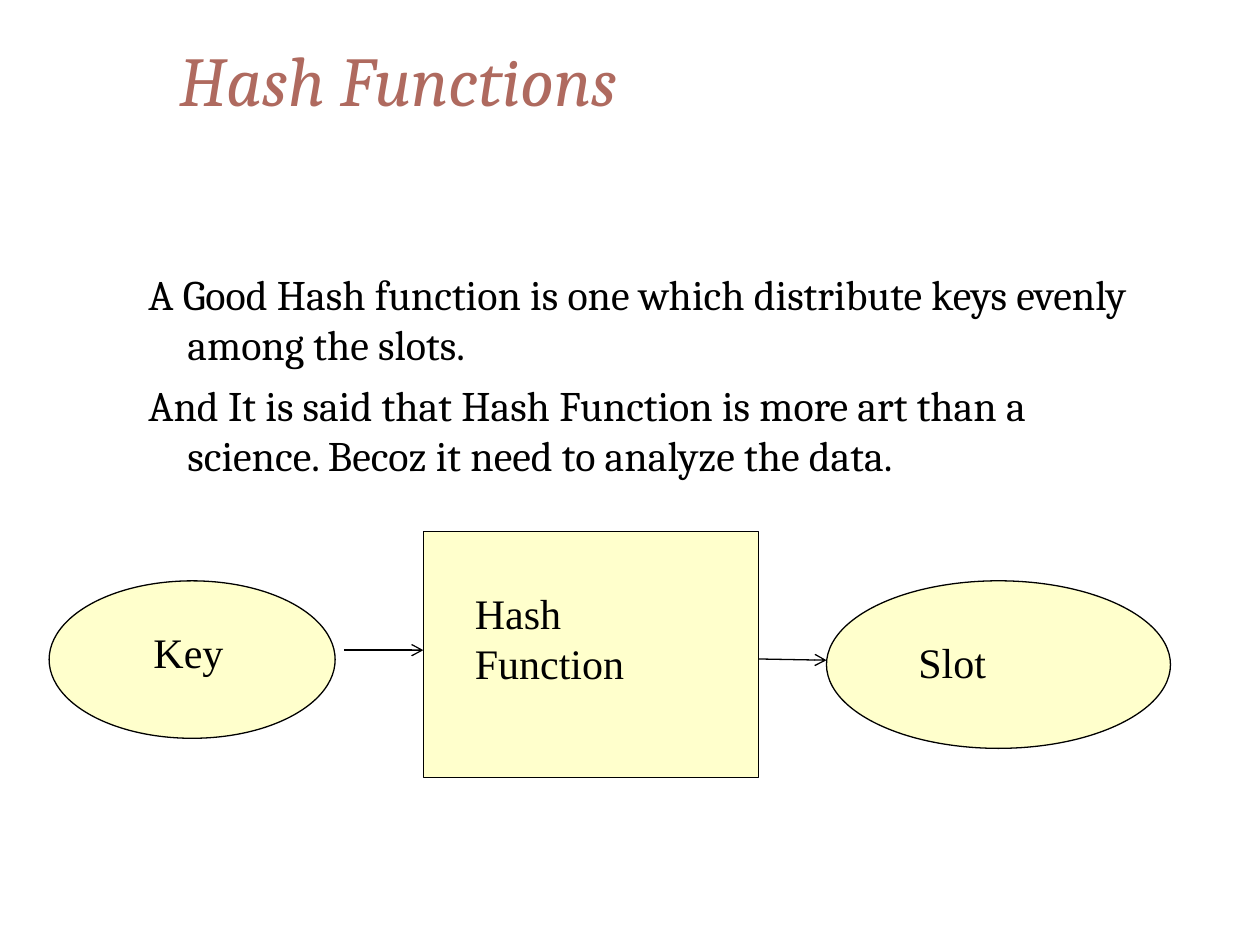
from dataclasses import dataclass

from lxml.etree import SubElement
from pptx import Presentation
from pptx.dml.color import RGBColor
from pptx.enum.shapes import MSO_CONNECTOR, MSO_SHAPE
from pptx.enum.text import MSO_ANCHOR
from pptx.oxml.ns import qn
from pptx.util import Inches, Pt


@dataclass(frozen=True)
class Theme:
    heading_font: str = "Cambria"
    label_font: str = "Times New Roman"
    title_color: RGBColor = RGBColor(0xAF, 0x6A, 0x5F)
    ink: RGBColor = RGBColor(0, 0, 0)
    node_fill: RGBColor = RGBColor(0xFF, 0xFF, 0xCC)
    title_size: Pt = Pt(40)
    text_size: Pt = Pt(24)
    line_width: Pt = Pt(0.75)


THEME = Theme()
TITLE_FORMAT = {"name": THEME.heading_font, "size": THEME.title_size, "italic": True}
BODY_FORMAT = {"name": THEME.heading_font, "size": THEME.text_size}
LABEL_FORMAT = {"name": THEME.label_font, "size": THEME.text_size}

TITLE = "Hash Functions"
BODY = [
    "A Good Hash function is one which distribute keys evenly among the slots.",
    "And It is said that Hash Function is more art than a science. "
    "Becoz it need to analyze the data.",
]
# Boxes are left, top, width, height in inches.
TITLE_BOX = (1.33, 0, 8.5, 1.25)
BODY_BOX = (0.58, 2.08, 8.67, 5.67)
NODES = [
    (MSO_SHAPE.RECTANGLE, (3.36, 4.22, 2.66, 1.95)),
    (MSO_SHAPE.OVAL, (6.56, 4.61, 2.73, 1.33)),
    (MSO_SHAPE.OVAL, (0.39, 4.61, 2.27, 1.25)),
]
ARROWS = [(2.73, 5.16, 3.36, 5.16), (6.02, 5.23, 6.56, 5.24)]
# Text, box, left margin
LABELS = [
    ("Key", (0.63, 4.92, 1.87, 0.5), 0.49),
    ("Hash Function", (3.67, 4.61, 2.11, 0.9), 0),
    ("Slot", (7.19, 5, 1.72, 0.5), 0),
]


def inches(values):
    return [Inches(value) for value in values]


def add_text(slide, paragraphs, box, font_format, color=THEME.ink,
             margin=0, indent=0, space_before=0, anchor=MSO_ANCHOR.TOP):
    frame = slide.shapes.add_textbox(*inches(box)).text_frame
    frame.word_wrap = True
    frame.vertical_anchor = anchor
    frame.text = "\n".join(paragraphs)
    for paragraph in frame.paragraphs:
        paragraph.space_before = Pt(space_before)
        properties = paragraph._p.get_or_add_pPr()
        properties.set("marL", str(Inches(margin)))
        properties.set("indent", str(Inches(indent)))
        font = paragraph.runs[0].font
        for name, value in font_format.items():
            setattr(font, name, value)
        font.color.rgb = color


def style_line(line):
    line.color.rgb = THEME.ink
    line.width = THEME.line_width


def add_node(slide, kind, box):
    shape = slide.shapes.add_shape(kind, *inches(box))
    shape.shadow.inherit = False
    shape.fill.solid()
    shape.fill.fore_color.rgb = THEME.node_fill
    style_line(shape.line)


def add_arrow(slide, ends):
    connector = slide.shapes.add_connector(MSO_CONNECTOR.STRAIGHT, *inches(ends))
    style_line(connector.line)
    SubElement(connector.line._get_or_add_ln(), qn("a:tailEnd"), type="arrow")
    SubElement(connector._element.spPr, qn("a:effectLst"))


def main():
    presentation = Presentation()
    presentation.slide_width, presentation.slide_height = inches((10, 7.5))
    slide = presentation.slides.add_slide(presentation.slide_layouts[6])

    add_text(slide, [TITLE], TITLE_BOX, TITLE_FORMAT, THEME.title_color,
             anchor=MSO_ANCHOR.MIDDLE)
    add_text(slide, BODY, BODY_BOX, BODY_FORMAT,
             margin=0.81, indent=-0.31, space_before=6)
    for kind, box in NODES:
        add_node(slide, kind, box)
    for ends in ARROWS:
        add_arrow(slide, ends)
    for text, box, margin in LABELS:
        add_text(slide, [text], box, LABEL_FORMAT, margin=margin)

    presentation.save("out.pptx")


if __name__ == "__main__":
    main()
